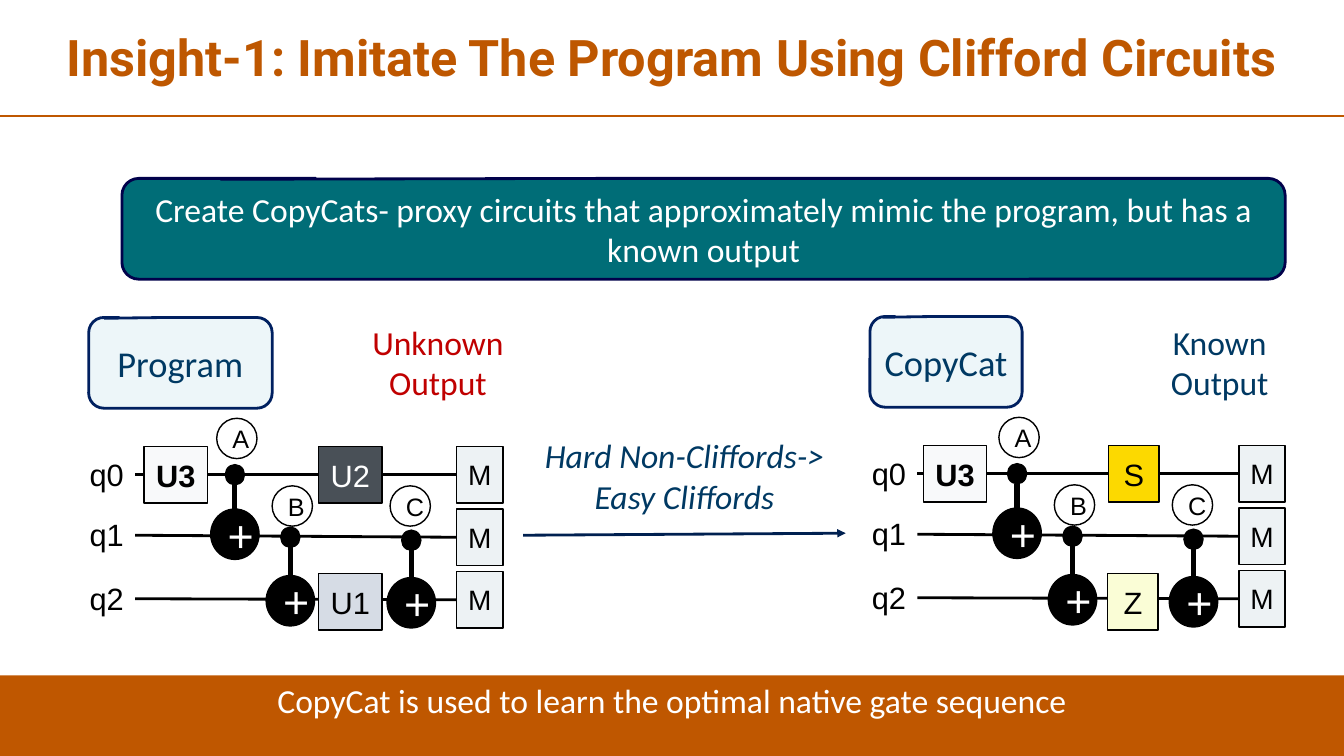
"""Build the slide that compares a quantum program with its CopyCat circuit."""
from dataclasses import dataclass
from typing import Any, Optional

import pptx
import pptx.dml.color
import pptx.enum.shapes
import pptx.enum.text
import pptx.oxml
import pptx.oxml.ns
import pptx.util

KIND = pptx.enum.shapes.MSO_SHAPE
ALIGN = pptx.enum.text.PP_ALIGN
ANCHOR = pptx.enum.text.MSO_ANCHOR
FIT = pptx.enum.text.MSO_AUTO_SIZE
COLS, ROWS = 133.33, 75
CELL = pptx.util.Inches(0.1)


@dataclass(frozen=True)
class Style:
    """Type settings for one kind of text."""
    size: float
    color: str
    font: str = "Arial"
    bold: bool = False
    italic: bool = False


@dataclass(frozen=True)
class Theme:
    """Colours and type sizes of the slide."""
    orange: str = "BF5700"
    teal: str = "006D77"
    deep: str = "01014B"
    navy: str = "002060"
    arrow: str = "002050"
    pale: str = "EDF6F9"
    meter: str = "EDF2F4"
    black: str = "000000"
    white: str = "FFFFFF"
    title: Style = Style(36, "BE5700", "Roboto", bold=True)
    banner: Style = Style(24, "FFFFFF", "Calibri")
    heading: Style = Style(26, "003963", "Calibri")
    known: Style = Style(24, "003963", "Calibri")
    unknown: Style = Style(24, "C00000", "Calibri")
    change: Style = Style(24, "003963", "Calibri", italic=True)
    gate: Style = Style(22, "000000")
    gate_bold: Style = Style(22, "000000", bold=True)
    gate_light: Style = Style(22, "FFFFFF")
    measure: Style = Style(20, "000000")
    tag: Style = Style(18, "000000")
    plus: Style = Style(32, "FFFFFF")


@dataclass(frozen=True)
class Box:
    """A rectangle in grid columns and rows."""
    x: float
    y: float
    w: float
    h: float

    def shifted(self, dx: float, dy: float) -> "Box":
        """Return the box moved by columns and rows."""
        return Box(self.x + dx, self.y + dy, self.w, self.h)

    def emu(self) -> tuple[int, ...]:
        """Return left, top, width and height in EMU."""
        return tuple(round(v * CELL) for v in (self.x, self.y, self.w, self.h))


@dataclass(frozen=True)
class Gate:
    """A labelled gate of a circuit."""
    text: str
    box: Box
    fill: str
    style: Style


@dataclass(frozen=True)
class Cnot:
    """A controlled-not: tag, centre column, tag column and rows of its parts."""
    tag: str
    x: float
    tag_x: float
    tag_y: float
    dot_y: float
    target_y: float


@dataclass(frozen=True)
class Qubit:
    """A qubit row: name, label row, wire start row and meter row."""
    name: str
    label_y: float
    wire_y: float
    meter_y: float


@dataclass(frozen=True)
class Circuit:
    """A circuit placed by its offset; its first gate stands on the top wire."""
    dx: float
    dy: float
    gates: tuple[Gate, ...]


T = Theme()
QUBITS = (Qubit("q0", 44.7, 47.1, 44.3), Qubit("q1", 50.7, 53.1, 50.5), Qubit("q2", 57, 59.4, 56.7))
CNOTS = (
    Cnot("A", 23.3, 23.5, 41.5, 46.1, 50.5),
    Cnot("B", 28.8, 29, 48.2, 52.3, 57.1),
    Cnot("C", 40.8, 40.7, 48.2, 52.6, 57.3),
)
CIRCUITS = (
    Circuit(0, 0, (
        Gate("U3", Box(14.3, 44.3, 6.3, 5.6), "F8F9FA", T.gate_bold),
        Gate("U2", Box(31.6, 44.3, 6.3, 5.6), "495057", T.gate_light),
        Gate("U1", Box(31.6, 56.9, 6.3, 5.6), "D6DCE5", T.gate))),
    Circuit(77.6, -0.1, (
        Gate("U3", Box(14, 44.3, 6.3, 5.6), "F8F9FA", T.gate_bold),
        Gate("S", Box(32.4, 44.3, 5, 5.6), "FCD900", T.gate),
        Gate("Z", Box(32.3, 57, 5, 5.6), "FAFDD6", T.gate))),
)


def rgb(color: str) -> pptx.dml.color.RGBColor:
    """Turn a hex string into a colour."""
    return pptx.dml.color.RGBColor.from_string(color)


def write(sp: Any, text: str, style: Style, align: Any = ALIGN.CENTER) -> None:
    """Write text into a shape, one paragraph for each line."""
    tf = sp.text_frame
    tf.text = text
    for p in tf.paragraphs:
        p.alignment = align
        p.font.size = pptx.util.Pt(style.size)
        p.font.name = style.font
        p.font.bold = style.bold
        p.font.italic = style.italic
        p.font.color.rgb = rgb(style.color)


def add_block(shapes: Any, kind: Any, box: Box, fill: str, line: Optional[str] = T.black,
              width: float = 1, text: str = "", style: Style = T.gate) -> Any:
    """Add a filled preset shape with optional outline and text."""
    sp = shapes.add_shape(kind, *box.emu())
    sp.shadow.inherit = False
    sp.fill.solid()
    sp.fill.fore_color.rgb = rgb(fill)
    if line:
        sp.line.color.rgb = rgb(line)
        sp.line.width = pptx.util.Pt(width)
    else:
        sp.line.fill.background()
    if text:
        write(sp, text, style)
    return sp


def add_callout(shapes: Any, box: Box, fill: str, line: str, text: str, style: Style) -> None:
    """Add a rounded callout whose tip lies on its own edge."""
    sp = add_block(shapes, KIND.ROUNDED_RECTANGULAR_CALLOUT, box, fill, line, 2, text, style)
    for i, value in enumerate((-0.415, -0.491, 0.167)):
        sp.adjustments[i] = value


def add_text(shapes: Any, box: Box, text: str, style: Style,
             align: Any = ALIGN.CENTER, wrap: bool = True) -> None:
    """Add a text box that grows with its text."""
    sp = shapes.add_textbox(*box.emu())
    sp.text_frame.word_wrap = wrap
    sp.text_frame.auto_size = FIT.SHAPE_TO_FIT_TEXT
    write(sp, text, style, align)


def add_line(shapes: Any, x1: float, y1: float, x2: float, y2: float,
             color: str = T.black, width: float = 2) -> Any:
    """Add a straight connector without shadow."""
    ends = (round(v * CELL) for v in (x1, y1, x2, y2))
    cxn = shapes.add_connector(pptx.enum.shapes.MSO_CONNECTOR.STRAIGHT, *ends)
    cxn.line.color.rgb = rgb(color)
    cxn.line.width = pptx.util.Pt(width)
    pptx.oxml.ns.qn("a:effectLst")
    cxn._element.spPr.append(pptx.oxml.parse_xml(
        f'<a:effectLst {pptx.oxml.ns.nsdecls("a")}/>'))
    return cxn


def draw_circuit(shapes: Any, circuit: Circuit) -> None:
    """Draw wires, meters, gates and controlled-nots as one group."""
    group = shapes.add_group_shape().shapes
    dx, dy = circuit.dx, circuit.dy
    gates = [add_block(group, KIND.RECTANGLE, g.box.shifted(dx, dy), g.fill, text=g.text, style=g.style)
             for g in circuit.gates[:1]]
    first = circuit.gates[0].box
    start, dot_left, end = 13.4 + dx, CNOTS[0].x - 0.95 + dx, 45.3 + dx
    for i, q in enumerate(QUBITS):
        add_text(group, Box(7.9, q.label_y, 5.5, 4.7).shifted(dx, dy), q.name, T.gate, ALIGN.LEFT, False)
        meter = add_block(group, KIND.RECTANGLE, Box(45.3, q.meter_y, 4.6, 5.6).shifted(dx, dy),
                          T.meter, text="M", style=T.measure)
        y = q.wire_y + dy
        if i == 0:
            add_line(group, start, y, first.x + dx, y).end_connect(gates[0], 1)
            add_line(group, first.x + first.w + dx, y, dot_left, y).begin_connect(gates[0], 3)
        wire_start = dot_left + 1.9 if i == 0 else start
        add_line(group, wire_start, y, end, y).end_connect(meter, 1)
    for c in CNOTS:
        add_block(group, KIND.OVAL, Box(c.x - 0.95, c.dot_y, 1.9, 2).shifted(dx, dy), T.black)
        add_line(group, c.x + dx, c.dot_y + 2 + dy, c.x + dx, c.target_y + dy, width=3.75)
        add_block(group, KIND.OVAL, Box(c.x - 2.4, c.target_y, 4.8, 5).shifted(dx, dy),
                  T.black, text="+", style=T.plus)
        add_block(group, KIND.OVAL, Box(c.tag_x - 2, c.tag_y, 4, 4).shifted(dx, dy),
                  T.white, text=c.tag, style=T.tag)
    for g in circuit.gates[1:]:
        add_block(group, KIND.RECTANGLE, g.box.shifted(dx, dy), g.fill, text=g.text, style=g.style)


def main() -> None:
    """Build and save the slide."""
    prs = pptx.Presentation()
    prs.slide_width, prs.slide_height = round(COLS * CELL), ROWS * CELL
    s = prs.slides.add_slide(prs.slide_layouts[5])
    shapes = s.shapes
    title = shapes.title
    title.left, title.top, title.width, title.height = Box(0.9, 0.4, 131.5, 11.1).emu()
    write(title, "Insight-1: Imitate The Program Using Clifford Circuits", T.title)
    title.text_frame.auto_size = FIT.NONE
    title.text_frame.vertical_anchor = ANCHOR.MIDDLE
    title.text_frame.paragraphs[0].line_spacing = 0.9
    add_line(shapes, 0, 11.5, COLS, 11.5, T.orange, 1.5)
    bar = add_block(shapes, KIND.RECTANGLE, Box(0, 67, COLS, 8), T.orange, None,
                    text="CopyCat is used to learn the optimal native gate sequence", style=T.banner)
    bar.text_frame.vertical_anchor = ANCHOR.TOP
    add_callout(shapes, Box(8.8, 31.5, 18.2, 9), T.pale, T.navy, "Program", T.heading)
    add_callout(shapes, Box(86.3, 31.4, 15.1, 9), T.pale, T.navy, "CopyCat", T.heading)
    for circuit in CIRCUITS:
        draw_circuit(shapes, circuit)
    arrow = add_line(shapes, 51.9, 53.1, 83.9, 52.9, T.arrow)
    arrow.line._get_or_add_ln().append(pptx.oxml.parse_xml(
        f'<a:tailEnd {pptx.oxml.ns.nsdecls("a")} type="triangle"/>'))
    add_text(shapes, Box(52.2, 42.7, 31.4, 9.1), "Hard Non-Cliffords-> Easy Cliffords", T.change)
    add_callout(shapes, Box(12.1, 17.7, 115.4, 10), T.teal, T.deep,
                "Create CopyCats- proxy circuits that approximately mimic the program, "
                "but has a known output", T.banner)
    add_text(shapes, Box(113.9, 31.4, 14.2, 9.1), "Known Output", T.known)
    add_text(shapes, Box(33.6, 31.4, 19.7, 9.1), "Unknown\nOutput", T.unknown)
    prs.save("out.pptx")


if __name__ == "__main__":
    main()
